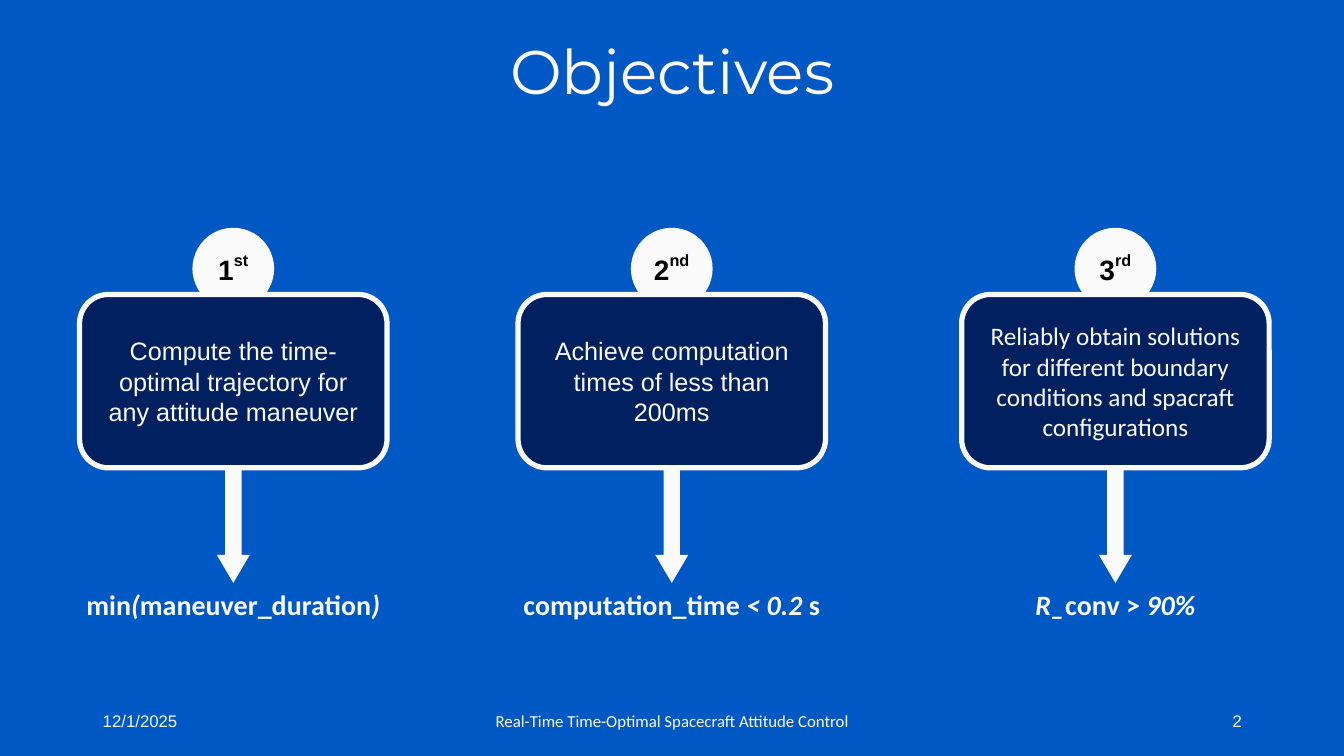
import pptx
import pptx.dml.color
import pptx.enum.shapes
import pptx.enum.text
import pptx.util

Cm = pptx.util.Cm
SHAPE = pptx.enum.shapes.MSO_SHAPE
ALIGN = pptx.enum.text.PP_ALIGN
MIDDLE = pptx.enum.text.MSO_ANCHOR.MIDDLE
COLORS = {"blue": "0058C5", "navy": "002060", "white": "FAFAFA",
          "footer": "FBFBFB", "black": "000000"}
OBJECTIVES = [
    (5.88, "1", "st", "Compute the time-optimal trajectory for any attitude maneuver",
     "Arial", 7.98,
     [("min", False), ("(", True), ("maneuver_duration", False), (")", True)]),
    (16.93, "2", "nd", "Achieve computation times of less than 200ms",
     "Arial", 8.0,
     [("computation_time ", False), ("< 0.2 ", True), ("s", False)]),
    (28.11, "3", "rd",
     "Reliably obtain solutions for different boundary conditions and spacraft configurations",
     "Calibri", 4.57,
     [("R_", True), ("conv >", False), (" 90%", True)]),
]
FOOTERS = [
    (2.34, 7.62, "12/1/2025", "Arial", ALIGN.LEFT),
    (11.23, 11.43, "Real-Time Time-Optimal Spacecraft Attitude Control", "Calibri", ALIGN.CENTER),
    (23.93, 7.62, "2", "Arial", ALIGN.RIGHT),
]


def rgb(name):
    """Return the named palette colour."""
    return pptx.dml.color.RGBColor.from_string(COLORS[name])


def style(r, size, font, color, bold=None, italic=None):
    """Format one run."""
    r.font.size = pptx.util.Pt(size)
    r.font.name = font
    r.font.color.rgb = rgb(color)
    r.font.bold = bold
    r.font.italic = italic


def write(sp, text, size, font, color, align=ALIGN.CENTER):
    """Put one wrapped, vertically centred paragraph in a shape."""
    tf = sp.text_frame
    tf.text = text
    tf.word_wrap = True
    tf.vertical_anchor = MIDDLE
    p = tf.paragraphs[0]
    p.alignment = align
    style(p.runs[0], size, font, color)
    return p


def add_filled(shapes, kind, center, top, width, height, fill):
    """Add a flat borderless shape centred on a vertical axis."""
    sp = shapes.add_shape(kind, Cm(center - width / 2), Cm(top), Cm(width), Cm(height))
    sp.shadow.inherit = False
    sp.fill.solid()
    sp.fill.fore_color.rgb = rgb(fill)
    sp.line.fill.background()
    return sp


def add_title(s, left, top, width, height):
    """Place and format the slide title."""
    sp = s.shapes.title
    sp.left, sp.top, sp.width, sp.height = Cm(left), Cm(top), Cm(width), Cm(height)
    p = write(sp, "Objectives", 44, "Montserrat", "white")
    p.line_spacing = 0.9


def add_objective(s, center, top, number, suffix, goal, font, label_width, metric):
    """Build one column: numbered circle, goal box, arrow and metric."""
    shapes = s.shapes.add_group_shape().shapes

    sp = add_filled(shapes, SHAPE.OVAL, center, top, 2.06, 2.06, "white")
    tf = sp.text_frame
    tf.margin_left = tf.margin_top = tf.margin_right = tf.margin_bottom = 0
    p = write(sp, number, 20, "Arial", "black")
    p.runs[0].font.bold = True
    r = p.add_run()
    r.text = suffix
    style(r, 20, "Arial", "black", bold=True)
    r._r.get_or_add_rPr().set("baseline", "50000")

    sp = add_filled(shapes, SHAPE.ROUNDED_RECTANGLE, center, top + 1.68, 7.75, 4.37, "navy")
    sp.line.color.rgb = rgb("white")
    sp.line.width = pptx.util.Pt(3.75)
    write(sp, goal, 18, font, "white")

    sp = add_filled(shapes, SHAPE.DOWN_ARROW, center, top + 6.05, 0.83, 2.9, "white")
    sp.adjustments[1] = 0.85

    sp = shapes.add_textbox(Cm(center - label_width / 2), Cm(top + 8.94),
                            Cm(label_width), Cm(1.11))
    tf = sp.text_frame
    tf.word_wrap = False
    tf.auto_size = pptx.enum.text.MSO_AUTO_SIZE.SHAPE_TO_FIT_TEXT
    p = tf.paragraphs[0]
    p.alignment = ALIGN.CENTER
    for text, italic in metric:
        r = p.add_run()
        r.text = text
        style(r, 20, "Calibri", "white", bold=True, italic=italic)


def add_footer(s, top, height):
    """Add the date, running title and page number."""
    for left, width, text, font, align in FOOTERS:
        sp = s.shapes.add_textbox(Cm(left), Cm(top), Cm(width), Cm(height))
        write(sp, text, 12, font, "footer", align)


def main():
    """Build and save the objectives slide."""
    prs = pptx.Presentation()
    prs.slide_width, prs.slide_height = Cm(33.87), Cm(19.05)
    s = prs.slides.add_slide(prs.slide_layouts[5])
    s.background.fill.solid()
    s.background.fill.fore_color.rgb = rgb("blue")
    add_title(s, 2.34, 0.05, 29.21, 3.68)
    for center, *content in OBJECTIVES:
        add_objective(s, center, 5.74, *content)
    add_footer(s, 17.66, 1.01)
    prs.save("out.pptx")


if __name__ == "__main__":
    main()
